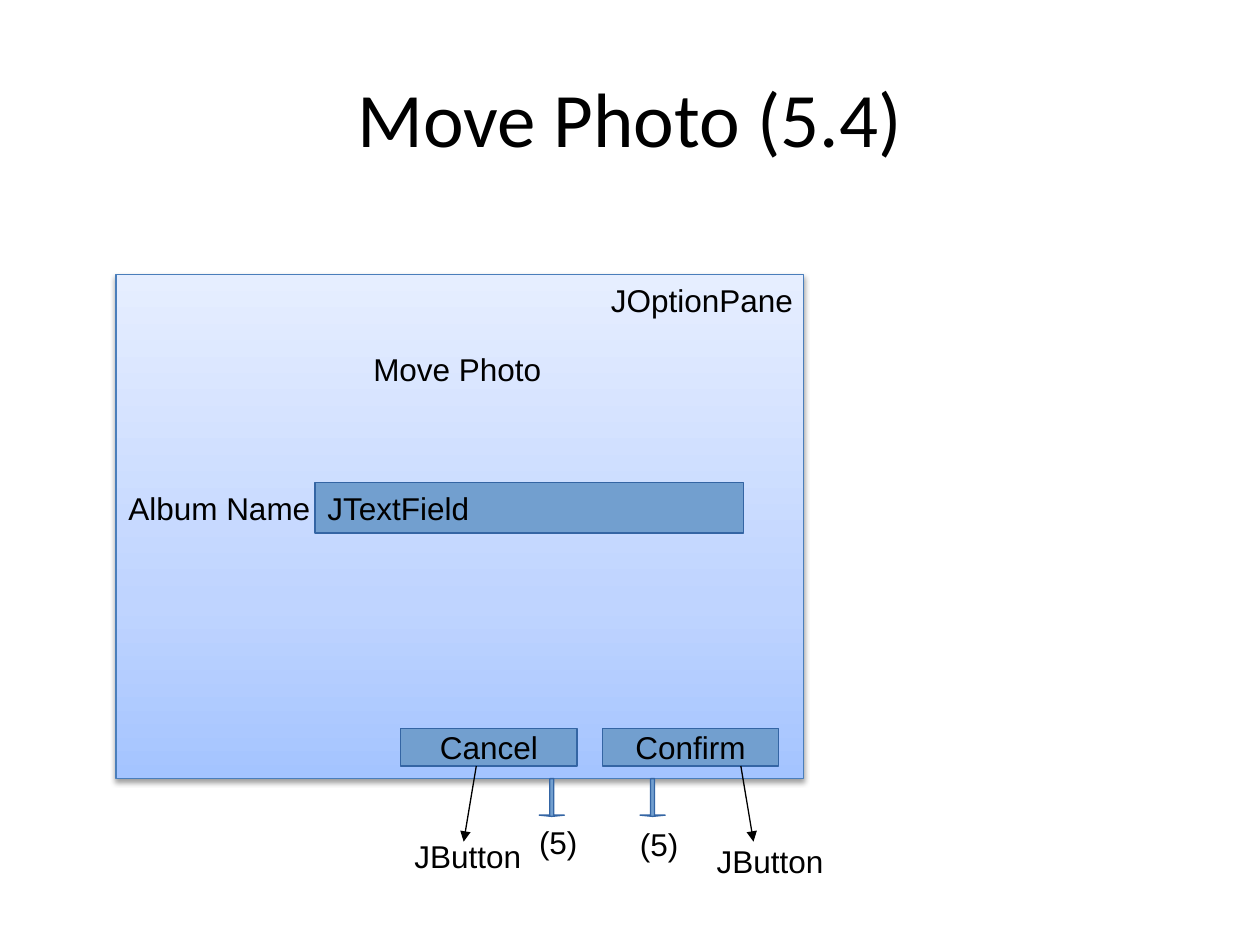
"""Build the Move Photo dialog wireframe slide."""
from pptx import Presentation
from pptx import util as u
from pptx.dml.color import RGBColor
from pptx.enum import shapes, text
from pptx.oxml import parse_xml
from pptx.oxml.ns import nsdecls, qn

W, H = 10, 7.5
CELL = 0.1
LEFT, TOP = 0.92, 2.18
INK, BLUE, EDGE = "000000", "729FCF", "3465A4"
TITLE = "Move Photo (5.4)"
PANEL = (0, 0, 54.6, 40)
PANEL_EDGE = "4A7EBB"
STOPS = [(0, "A4C4FF"), (35, "BFD4FF"), (100, "E6EEFF")]
HEADING = ("Move Photo", (4.6, 5, 45, 5))
FIELD = (15.8, 16.5, 34, 4)
BUTTONS = ["Cancel", "Confirm"]
BUTTON_X, BUTTON_Y, BUTTON_W, BUTTON_H, BUTTON_STEP = 22.6, 36, 14, 3, 16
GAP_X, GAP_STEP = 33.6, 8
LABELS = [
    ("JOptionPane", (38.3, 0, 17.3, 6.6)),
    ("Album Name", (0, 16.5, 16.6, 6.6)),
    ("JTextField", (15.8, 16.5, 18, 3.8)),
    ("(5)", (32.6, 43, 7, 3.8)),
    ("(5)", (40.6, 43.2, 7, 3.8)),
    ("JButton", (22.7, 44.1, 14, 6.6)),
    ("JButton", (46.7, 44.5, 14, 6.6)),
]
POINTERS = [(28.6, 27.6), (49.6, 50.6)]
POINTER_Y = (39, 45)


def rgb(value):
    """Turn a hex string into a colour."""
    return RGBColor.from_string(value)


def place(x, y, w, h):
    """Turn grid cells counted from the panel corner into a slide box."""
    return [u.Inches(v) for v in (LEFT + x * CELL, TOP + y * CELL, w * CELL, h * CELL)]


def write(sp, words, size=18, name="Arial", align=None, wrap=True, inset=(0.1, 0.05)):
    """Write one line of text into a shape, centred both ways when aligned."""
    tf = sp.text_frame
    side, end = (u.Inches(v) for v in inset)
    frame = {"word_wrap": wrap, "margin_left": side, "margin_right": side,
             "margin_top": end, "margin_bottom": end,
             "vertical_anchor": text.MSO_ANCHOR.MIDDLE if align else text.MSO_ANCHOR.TOP}
    for key, value in frame.items():
        setattr(tf, key, value)
    p = tf.paragraphs[0]
    p.alignment = align
    r = p.add_run()
    r.text = words
    for key, value in {"size": u.Pt(size), "name": name}.items():
        setattr(r.font, key, value)
    r.font.color.rgb = rgb(INK)


def add_box(s, box, kind=shapes.MSO_SHAPE.RECTANGLE, fill=BLUE, line=EDGE):
    """Add a filled and outlined preset shape."""
    sp = s.shapes.add_shape(kind, *place(*box))
    sp.shadow.inherit = False
    if fill:
        sp.fill.solid()
        sp.fill.fore_color.rgb = rgb(fill)
    sp.line.color.rgb = rgb(line)
    sp.line.width = u.Pt(0.75)
    return sp


def add_panel(s):
    """Add the dialog panel with its gradient and soft shadow."""
    pr = add_box(s, PANEL, fill=None, line=PANEL_EDGE)._element.spPr
    stops = "".join(f'<a:gs pos="{pos * 1000}"><a:srgbClr val="{c}"/></a:gs>' for pos, c in STOPS)
    pr.find(qn("a:prstGeom")).addnext(parse_xml(
        f'<a:gradFill {nsdecls("a")} rotWithShape="1"><a:gsLst>{stops}</a:gsLst>'
        '<a:lin ang="16200000" scaled="0"/></a:gradFill>'))
    pr.find(qn("a:effectLst")).append(parse_xml(
        f'<a:outerShdw {nsdecls("a")} blurRad="{u.Pt(3.1)}" dist="{u.Pt(1.6)}" dir="5400000" '
        f'rotWithShape="0"><a:srgbClr val="{INK}"><a:alpha val="38000"/></a:srgbClr></a:outerShdw>'))


def add_pointer(s, x1, x2):
    """Add an arrow from a button down to its label."""
    x1, y1, x2, y2 = place(x1, POINTER_Y[0], 0, 0)[:2] + place(x2, POINTER_Y[1], 0, 0)[:2]
    sp = s.shapes.add_connector(shapes.MSO_CONNECTOR.STRAIGHT, x1, y1, x2, y2)
    sp.line.color.rgb = rgb(INK)
    sp.line.width = u.Pt(0.75)
    sp.line._get_or_add_ln().append(parse_xml(f'<a:tailEnd {nsdecls("a")} type="triangle"/>'))
    sp._element.spPr.append(parse_xml(f'<a:effectLst {nsdecls("a")}/>'))


def main():
    """Lay out the slide and save it."""
    prs = Presentation()
    prs.slide_width, prs.slide_height = u.Inches(W), u.Inches(H)
    s = prs.slides.add_slide(prs.slide_layouts[6])
    center = text.PP_ALIGN.CENTER

    title_box = (W * 0.05, H * 0.04, W * 0.9, H / 6)
    sp = s.shapes.add_textbox(*[u.Inches(v) for v in title_box])
    write(sp, TITLE, 44, "Calibri", center, inset=(0, 0))

    add_panel(s)
    words, box = HEADING
    write(s.shapes.add_textbox(*place(*box)), words, align=center, wrap=False)
    add_box(s, FIELD)
    for i, words in enumerate(BUTTONS):
        sp = add_box(s, (BUTTON_X + i * BUTTON_STEP, BUTTON_Y, BUTTON_W, BUTTON_H))
        write(sp, words, align=center, wrap=False)
    for i in range(len(BUTTONS)):
        box = (GAP_X + i * GAP_STEP, PANEL[3], 2, 3)
        sp = add_box(s, box, shapes.MSO_SHAPE.DOWN_ARROW)
        sp.adjustments[0], sp.adjustments[1] = 0.16, 0.05
    for words, box in LABELS:
        write(s.shapes.add_textbox(*place(*box)), words)
    for ends in POINTERS:
        add_pointer(s, *ends)
    prs.save("out.pptx")


if __name__ == "__main__":
    main()
